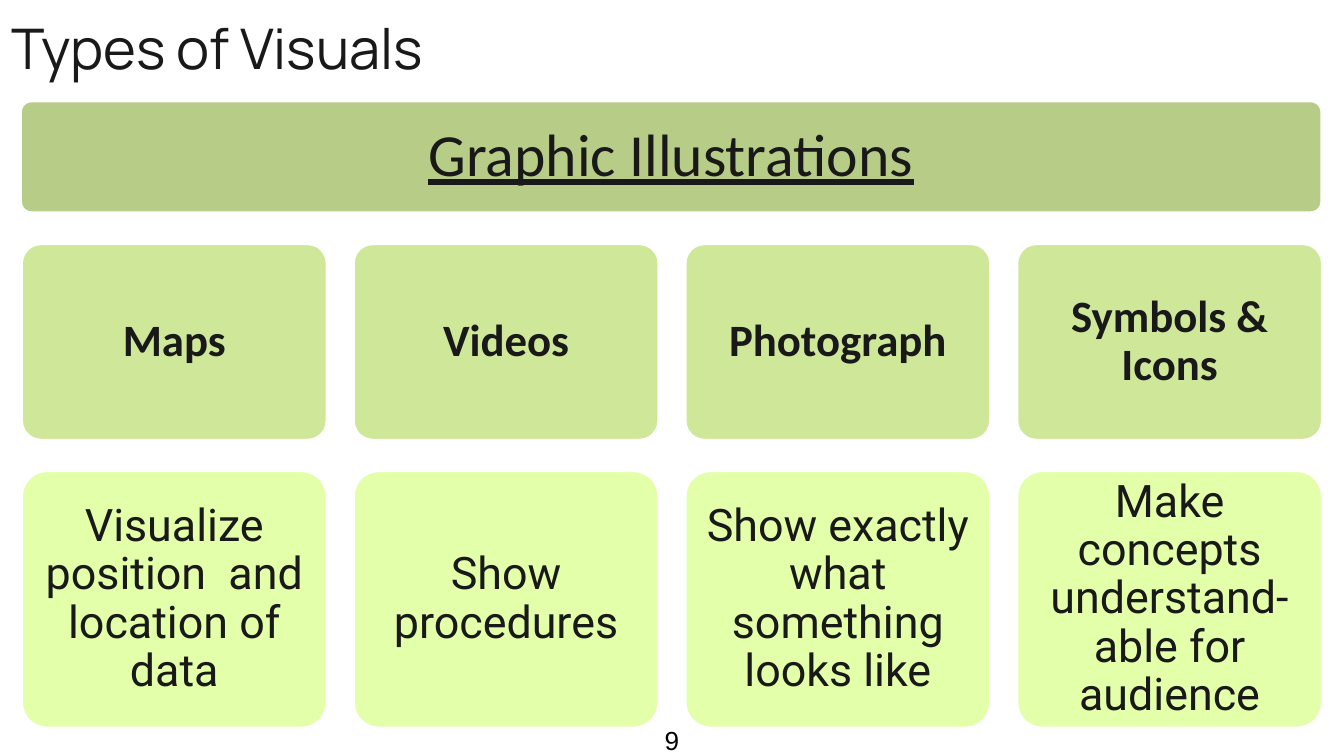
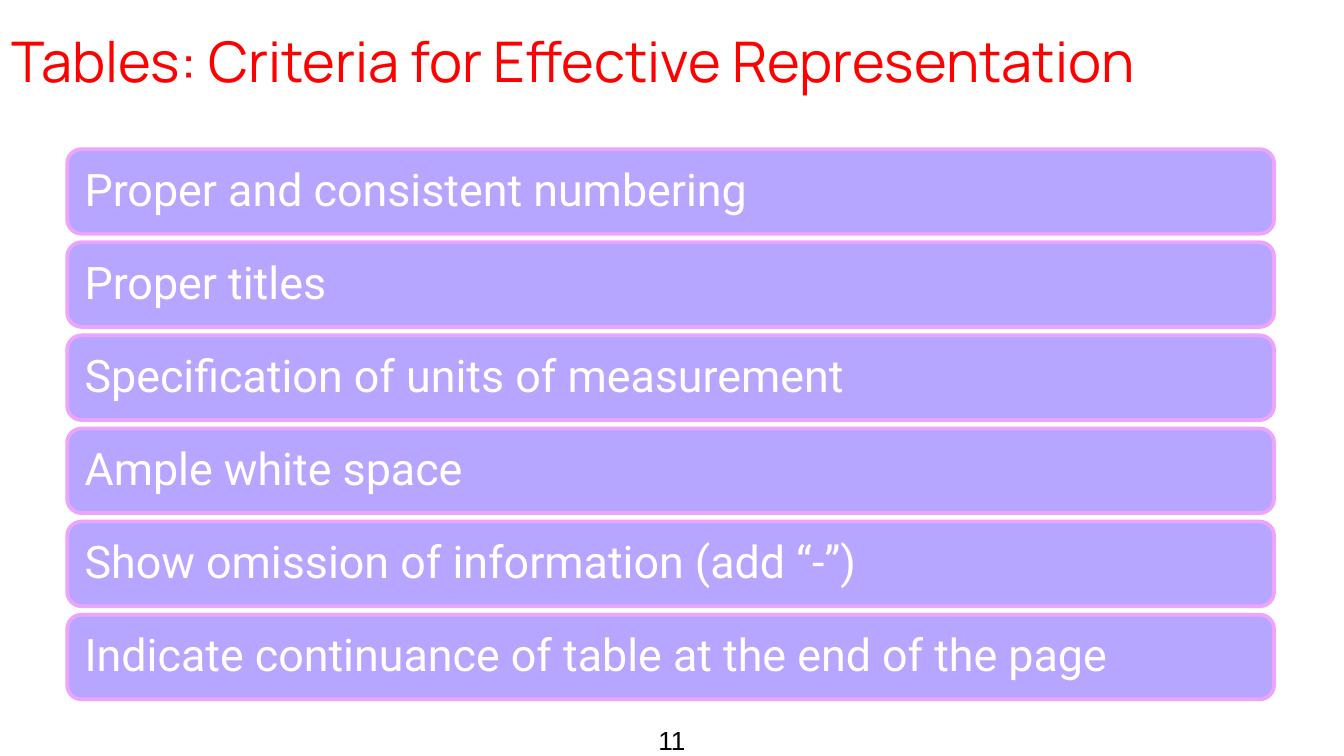
from pptx import Presentation
from pptx.dml.color import RGBColor
from pptx.enum import shapes, text
from pptx.util import Cm, Pt

INK = RGBColor(0x19, 0x19, 0x19)
BLACK = RGBColor(0x00, 0x00, 0x00)
WHITE = RGBColor(0xFF, 0xFF, 0xFF)
RED = RGBColor(0xFF, 0x00, 0x00)
OLIVE = RGBColor(0xB7, 0xCC, 0x87)
GREEN = RGBColor(0xCF, 0xE7, 0x99)
LIME = RGBColor(0xE4, 0xFF, 0xAA)
LILAC = RGBColor(0xB7, 0xA6, 0xFF)
PINK = RGBColor(0xED, 0xA4, 0xFF)

TITLE_FONT, HEAD_FONT, BODY_FONT, NUMBER_FONT = "Manrope", "Calibri", "Roboto", "Arial"
LEFT, CENTER = text.PP_ALIGN.LEFT, text.PP_ALIGN.CENTER

VISUALS = [
    ("Maps", "Visualize position  and location of data"),
    ("Videos", "Show procedures"),
    ("Photograph", "Show exactly what something looks like"),
    ("Symbols & Icons", "Make concepts understand-able for audience"),
]
CRITERIA = [
    "Proper and consistent numbering",
    "Proper titles",
    "Specification of units of measurement",
    "Ample white space",
    "Show omission of information (add “-”)",
    "Indicate continuance of table at the end of the page",
]


def write(holder, words, font, size, color, align=LEFT, inset=0.25):
    """Put one styled paragraph into a shape or text box and return it."""
    frame = holder.text_frame
    frame.word_wrap = True
    frame.margin_left = frame.margin_right = Cm(inset)
    frame.margin_top = frame.margin_bottom = Cm(inset)
    paragraph = frame.paragraphs[0]
    paragraph.text = words
    paragraph.alignment = align
    paragraph.font.name = font
    paragraph.font.size = Pt(size)
    paragraph.font.color.rgb = color
    return paragraph


def add_card(slide, box, fill, outline, words, font, size=24, color=INK,
             align=CENTER, rounding=0.1, inset=0.25):
    """Add a rounded card (box is left, top, width, height in cm); return its paragraph."""
    card = slide.shapes.add_shape(shapes.MSO_SHAPE.ROUNDED_RECTANGLE, *map(Cm, box))
    card.adjustments[0] = rounding
    card.shadow.inherit = False
    card.fill.solid()
    card.fill.fore_color.rgb = fill
    card.line.color.rgb = outline
    card.line.width = Pt(2)
    card.text_frame.vertical_anchor = text.MSO_ANCHOR.MIDDLE
    paragraph = write(card, words, font, size, color, align, inset)
    paragraph.line_spacing = 0.9
    return paragraph


def add_page(deck, title, number, color=INK, title_top=0):
    """Add a blank slide with its title and page number."""
    slide = deck.slides.add_slide(deck.slide_layouts[6])
    heading = slide.shapes.add_textbox(Cm(-0.03), Cm(title_top), Cm(25.43), Cm(2.39))
    write(heading, title, TITLE_FONT, 30, color)
    footer = slide.shapes.add_textbox(Cm(11.94), Cm(13.44), Cm(1.52), Cm(0.86))
    write(footer, str(number), NUMBER_FONT, 14, BLACK, CENTER)
    return slide


def add_visual_types(deck):
    slide = add_page(deck, "Types of Visuals", 9)
    banner = add_card(slide, (0.38, 1.9, 24.61, 2.13), OLIVE, WHITE,
                      "Graphic Illustrations", HEAD_FONT, size=32, inset=0.33)
    banner.font.underline = True
    for column, (kind, purpose) in enumerate(VISUALS):
        left = 0.4 + column * 6.27
        head = add_card(slide, (left, 4.6, 5.79, 3.73), GREEN, WHITE, kind, HEAD_FONT)
        head.font.bold = True
        add_card(slide, (left, 8.89, 5.79, 4.88), LIME, WHITE, purpose, BODY_FONT)


def add_table_criteria(deck):
    slide = add_page(deck, "Tables: Criteria for Effective Representation", 11,
                     color=RED, title_top=0.25)
    for row, criterion in enumerate(CRITERIA):
        add_card(slide, (1.27, 2.82 + row * 1.76, 22.81, 1.6), LILAC, PINK, criterion,
                 BODY_FONT, color=WHITE, align=LEFT, rounding=0.17)


def main():
    deck = Presentation()
    deck.slide_width, deck.slide_height = Cm(25.4), Cm(14.29)
    add_visual_types(deck)
    add_table_criteria(deck)
    deck.save("out.pptx")


if __name__ == "__main__":
    main()
